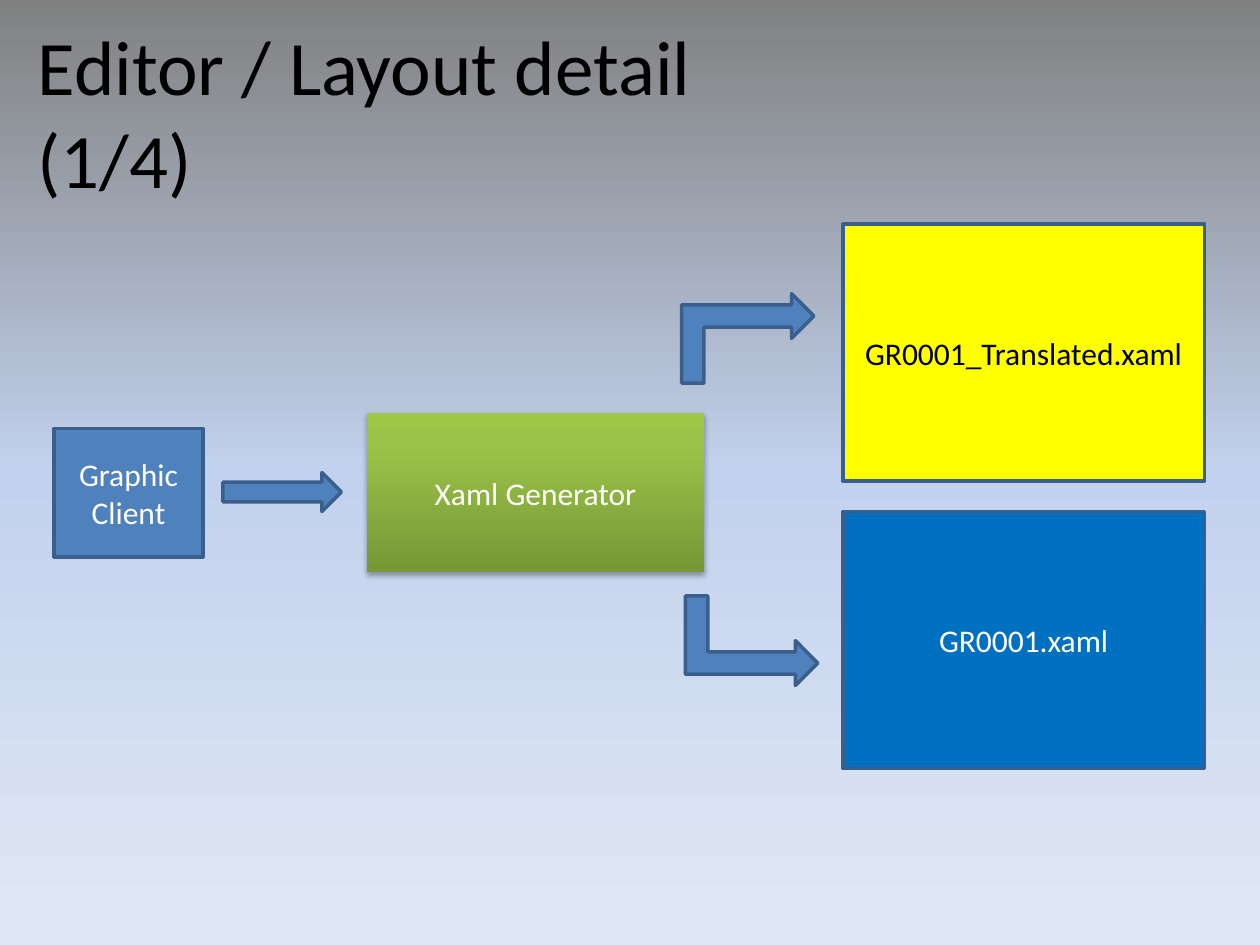
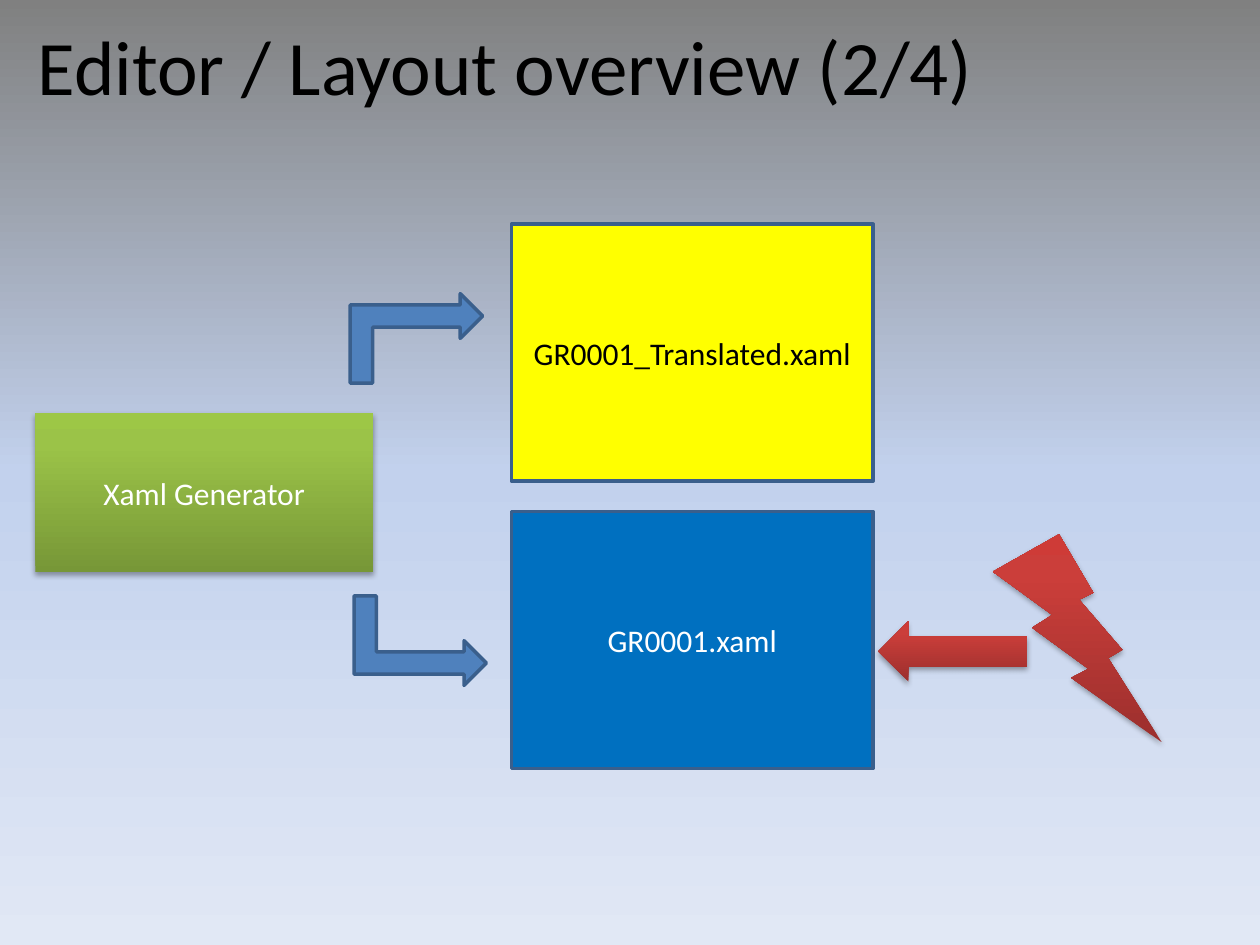
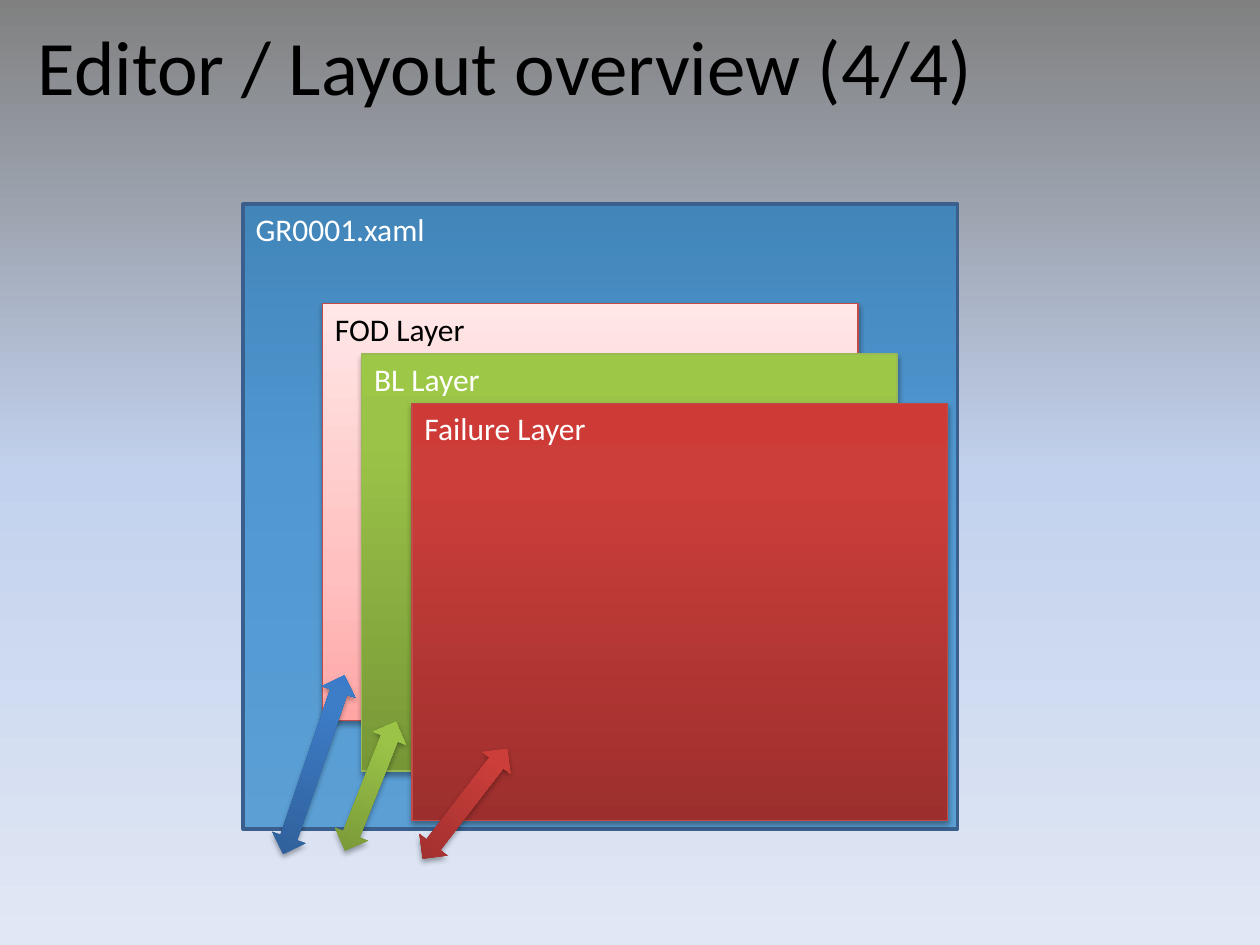
import copy

import pptx
import pptx.dml.color
import pptx.enum.shapes
import pptx.enum.text
import pptx.oxml
import pptx.oxml.ns
import pptx.util

RGB = pptx.dml.color.RGBColor.from_string
KIND = pptx.enum.shapes.MSO_SHAPE
ANCHOR = pptx.enum.text.MSO_ANCHOR
ALIGN = pptx.enum.text.PP_ALIGN
qn = pptx.oxml.ns.qn

FONT = "Calibri"
COLORS = {
    "black": "000000", "white": "FFFFFF", "yellow": "FFFF00",
    "file": "0070C0", "steel": "4F81BD", "edge": "3A5F8C",
    "red edge": "BF4C48", "green edge": "98B955",
}
# Each gradient lists its stops as (share, colour)
GRADIENTS = {
    "backdrop": [(0, "808080"), (0.5, "C2D1ED"), (1, "E1E8F5")],
    "green": [(0, "779737"), (0.8, "9BC348"), (1, "9DC746")],
    "red": [(0, "9C2F2D"), (0.8, "CB3E3A"), (1, "CE3B37")],
    "blue": [(0, "2F5F99"), (0.8, "3D7CC7"), (1, "3A7CCB")],
    "pink": [(0, "FFA6A5"), (0.35, "FFC0BF"), (1, "FFE7E7")],
}
SHADOW = (
    f'<a:outerShdw {pptx.oxml.ns.nsdecls("a")} blurRad="40000" dist="23000" '
    'dir="5400000" rotWithShape="0"><a:srgbClr val="000000">'
    '<a:alpha val="35000"/></a:srgbClr></a:outerShdw>'
)

# The slide is a grid of square cells, 10 columns by 7.5 rows
deck = pptx.Presentation()
deck.slide_width = pptx.util.Inches(10)
deck.slide_height = pptx.util.Inches(7.5)
cell = deck.slide_width / 10


def paint_gradient(fill, element, name, angle):
    """Give a fill the three stops of a named gradient."""
    fill.gradient()
    fill.gradient_angle = angle
    stops = element.find(".//" + qn("a:gsLst"))
    stops.append(copy.deepcopy(stops[-1]))
    for stop, (share, color) in zip(fill.gradient_stops, GRADIENTS[name]):
        stop.position = share
        stop.color.rgb = RGB(color)


def add_block(page, kind, place, paint, edge=None, weight=2, text="",
              ink="white", centred=True, turn=0, flip=False):
    """Add a shape; gradient paints also cast a shadow."""
    shape = page.shapes.add_shape(kind, *[round(cell * part) for part in place])
    shape.rotation = turn
    if flip:
        shape.element.spPr.find(qn("a:xfrm")).set("flipH", "1")
    shape.shadow.inherit = False
    if paint in GRADIENTS:
        paint_gradient(shape.fill, shape.element, paint, 90)
        effects = shape.element.spPr.find(qn("a:effectLst"))
        effects.append(pptx.oxml.parse_xml(SHADOW))
    else:
        shape.fill.solid()
        shape.fill.fore_color.rgb = RGB(COLORS[paint])
    if edge:
        shape.line.color.rgb = RGB(COLORS[edge])
        shape.line.width = pptx.util.Pt(weight)
    else:
        shape.line.fill.background()
    if text:
        shape.text_frame.text = text
        shape.text_frame.word_wrap = True
        shape.text_frame.vertical_anchor = ANCHOR.MIDDLE if centred else ANCHOR.TOP
        para = shape.text_frame.paragraphs[0]
        para.alignment = ALIGN.CENTER if centred else ALIGN.LEFT
        font = para.runs[0].font
        font.name, font.size = FONT, pptx.util.Pt(18)
        font.color.rgb = RGB(COLORS[ink])
    return shape


# Backdrop and title of every slide
pages = []
for title, width in [("Editor / Layout detail (1/4)", 6.75),
                     ("Editor / Layout overview (2/4)", 7.63),
                     ("Editor / Layout overview (4/4)", 7.63)]:
    page = deck.slides.add_slide(deck.slide_layouts[6])
    paint_gradient(page.background.fill, page.element, "backdrop", 270)
    box = page.shapes.add_textbox(
        *[round(cell * part) for part in (0.2, 0.1, width, 0.84)])
    box.text_frame.text = title
    box.text_frame.word_wrap = False
    box.text_frame.auto_size = pptx.enum.text.MSO_AUTO_SIZE.SHAPE_TO_FIT_TEXT
    font = box.text_frame.paragraphs[0].runs[0].font
    font.name, font.size = FONT, pptx.util.Pt(44)
    font.color.rgb = RGB(COLORS["black"])
    pages.append(page)
detail, overview, layers = pages

# Generator and its two files, further left on the second slide
for page, left in [(detail, 2.91), (overview, 0.28)]:
    for top, paint, name, ink in [(1.78, "yellow", "GR0001_Translated.xaml", "black"),
                                  (4.06, "file", "GR0001.xaml", "white")]:
        add_block(page, KIND.RECTANGLE, (left + 3.78, top, 2.87, 2.04), paint,
                  "edge", text=name, ink=ink)
    add_block(page, KIND.FLOWCHART_PROCESS, (left, 3.28, 2.68, 1.26), "green",
              text="Xaml Generator")
    for shift, top, flip in [(2.7, 4.56, False), (2.67, 2.16, True)]:
        add_block(page, KIND.BENT_UP_ARROW, (left + shift, top, 0.71, 1.05),
                  "steel", "edge", turn=90, flip=flip)

# Slide 1: the client feeds the generator
add_block(detail, KIND.RECTANGLE, (0.43, 3.4, 1.18, 1.02), "steel", "edge",
          text="Graphic Client")
add_block(detail, KIND.RIGHT_ARROW, (1.77, 3.75, 0.94, 0.31), "steel", "edge")

# Slide 2: a failure hits the file
add_block(overview, KIND.RIGHT_ARROW, (6.97, 4.93, 1.18, 0.48), "red", flip=True)
add_block(overview, KIND.LIGHTNING_BOLT, (7.88, 4.24, 1.34, 1.65), "red")

# Slide 3: the file holds stacked layers
file_box = add_block(layers, KIND.RECTANGLE, (1.93, 1.62, 5.67, 4.96), "file", "edge",
                     text="GR0001.xaml", centred=False)
tint = file_box.element.spPr.find(qn("a:solidFill"))[0]
tint.append(pptx.oxml.parse_xml(
    f'<a:alpha {pptx.oxml.ns.nsdecls("a")} val="58000"/>'))

for left, top, paint, edge, name, ink in [
        (2.56, 2.41, "pink", "red edge", "FOD Layer", "black"),
        (2.87, 2.81, "green", "green edge", "BL Layer", "white"),
        (3.27, 3.2, "red", "red edge", "Failure Layer", "white")]:
    add_block(layers, KIND.RECTANGLE, (left, top, 4.25, 3.31), paint, edge, 0.75,
              text=name, ink=ink, centred=False)

# Double arrows that reach into each layer
for left, top, length, paint, turn in [(3.55, 5.83, 1.1, "red", 37.6),
                                       (2.8, 5.69, 1.1, "green", 21.6),
                                       (2.35, 5.32, 1.5, "blue", 18.9)]:
    add_block(layers, KIND.UP_DOWN_ARROW, (left, top, 0.28, length), paint, turn=turn)

deck.save("out.pptx")
